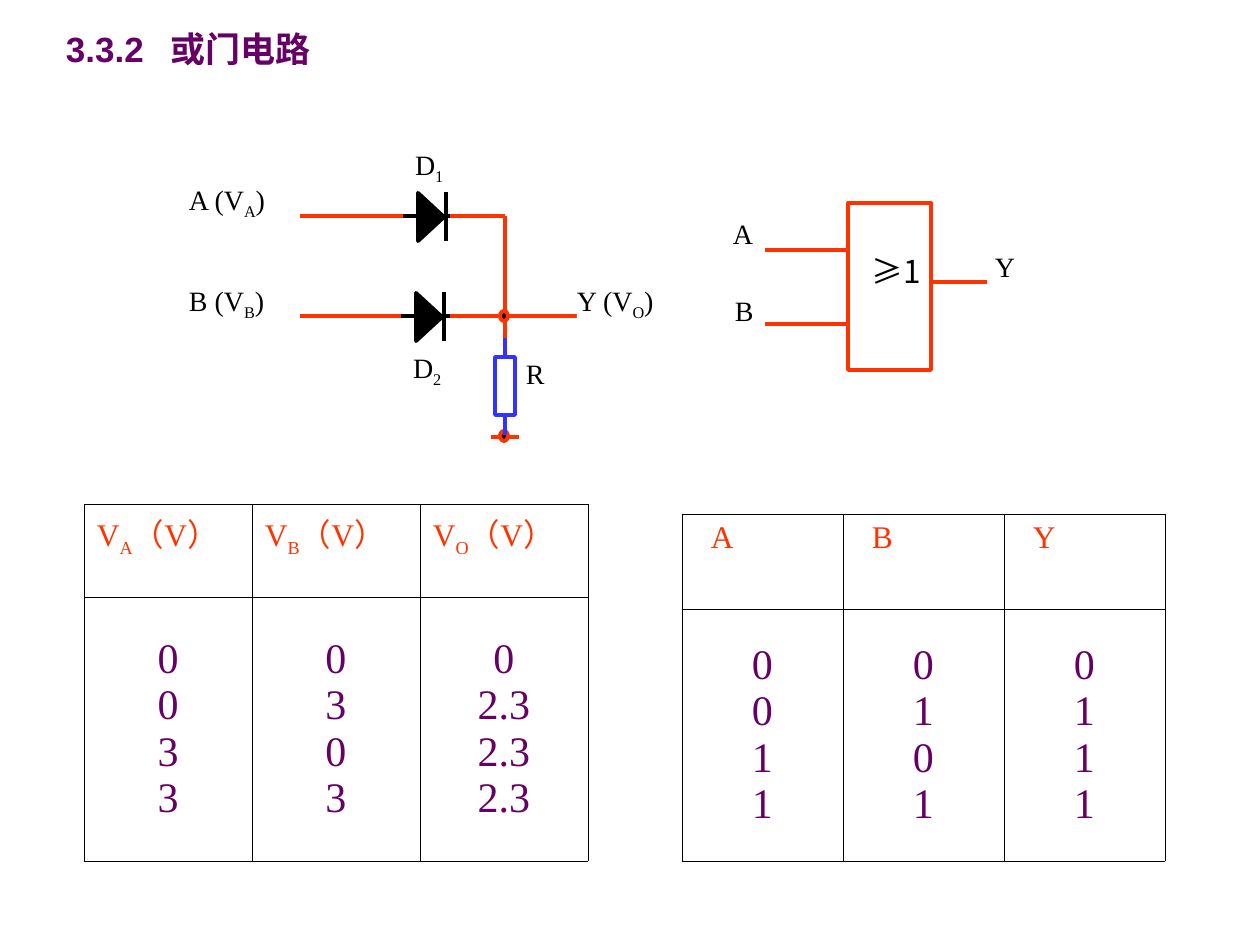
from lxml.etree import SubElement
from pptx import Presentation
from pptx.dml.color import RGBColor as RGB
from pptx.enum.shapes import MSO_CONNECTOR as CONN, MSO_SHAPE as KIND
from pptx.enum.text import MSO_ANCHOR as ANCHOR, MSO_AUTO_SIZE as FIT, PP_ALIGN as ALIGN
from pptx.oxml.ns import qn
from pptx.util import Pt

SCALE = 914400 / 126
COLORS = {"red": "FF3300", "blue": "3333FF", "black": "000000",
          "white": "FFFFFF", "plum": "660066"}
SERIF, SANS, HAN = "Times New Roman", "Arial", "Noto Sans CJK SC"


def px(*vals):
    """Turn pixel lengths into EMU."""
    return [round(v * SCALE) for v in vals]


def hue(name):
    """Look up a named colour."""
    return RGB.from_string(COLORS[name])


def write(para, text, size, color="black", font=SERIF, bold=False):
    """Add runs to a paragraph, with text between underscores set as subscript."""
    for i, part in enumerate(text.split("_")):
        if not part:
            continue
        run = para.add_run()
        run.text = part
        run.font.size, run.font.bold = Pt(size), bold
        run.font.color.rgb = hue(color)
        run.font.name = font
        props = run.font._element
        SubElement(props, qn("a:ea"), typeface=HAN)
        if i % 2:
            props.set("baseline", "-25000")


def pad(item, side, top):
    """Set the text insets of a frame or cell."""
    item.margin_left = item.margin_right = px(side)[0]
    item.margin_top = item.margin_bottom = px(top)[0]


def head(slide, num, name):
    """Fill the title placeholder with a number and a name."""
    shape = slide.shapes.title
    shape.left, shape.top, shape.width, shape.height = px(53, 21, 305, 55)
    frame = shape.text_frame
    frame.word_wrap, frame.auto_size = True, FIT.SHAPE_TO_FIT_TEXT
    frame.vertical_anchor = ANCHOR.TOP
    pad(frame, 13, 6)
    para = frame.paragraphs[0]
    para.alignment = ALIGN.LEFT
    stops = SubElement(para._p.get_or_add_pPr(), qn("a:tabLst"))
    SubElement(stops, qn("a:tab"), pos=str(px(104)[0]), algn="l")
    write(para, f"{num}\t{name}", 20, "plum", SANS, True)


def form(slide, kind, box, fill="white", line=None):
    """Add a filled shape, with an outline if a colour is given."""
    shape = slide.shapes.add_shape(kind, *px(*box))
    shape.shadow.inherit = False
    shape.fill.solid()
    shape.fill.fore_color.rgb = hue(fill)
    if line:
        shape.line.color.rgb, shape.line.width = hue(line), Pt(2.25)
    else:
        shape.line.fill.background()
    return shape


def wire(slide, x1, y1, x2, y2, color="red"):
    """Add a straight wire."""
    line = slide.shapes.add_connector(CONN.STRAIGHT, *px(x1, y1, x2, y2))
    line.line.color.rgb, line.line.width = hue(color), Pt(2.25)
    SubElement(line._element.spPr, qn("a:effectLst"))
    return line


def label(slide, text, box, size=16, font=SERIF):
    """Add a white text label."""
    frame = form(slide, KIND.RECTANGLE, box).text_frame
    frame.word_wrap, frame.vertical_anchor = True, ANCHOR.TOP
    pad(frame, 0, 0)
    para = frame.paragraphs[0]
    para.alignment = ALIGN.JUSTIFY
    write(para, text, size, font=font)


def diode(slide, x, y):
    """Draw a diode whose bar crosses the wire at x, y."""
    body = form(slide, KIND.ISOSCELES_TRIANGLE, (x - 39, y - 12, 48, 26), "black", "black")
    body.rotation = 90
    wire(slide, x - 26, y, x - 43, y, "black")
    wire(slide, x, y, x + 10, y, "black")
    wire(slide, x, y - 24, x, y + 25, "black")


def node(slide, y):
    """Draw a joint on the output rail."""
    form(slide, KIND.OVAL, (500, y, 8, 10), "black", "red")


def load(slide):
    """Draw the resistor and its leads."""
    body = form(slide, KIND.RECTANGLE, (495, 357, 20, 58), line="blue")
    for site, y, end in ((2, 415, 435), (0, 357, 338)):
        wire(slide, 505, y, 505, end, "blue").begin_connect(body, site)


def circuit(slide):
    """Draw the diode circuit."""
    for x, y in ((446, 216), (444, 316)):
        wire(slide, 300, y, 411, y)
        diode(slide, x, y)
        wire(slide, 450, y, 505, y)
    wire(slide, 505, 316, 588, 316)
    wire(slide, 505, 216, 505, 350)
    wire(slide, 491, 437, 519, 437)
    node(slide, 311)
    for text, x, y, w, h in (
            ("Y (V_O_)", 577, 284, 111, 67), ("A (V_A_)", 189, 183, 111, 67),
            ("B (V_B_)", 189, 284, 111, 67), ("D_1_", 415, 148, 55, 41),
            ("D_2_", 413, 351, 55, 67), ("R", 526, 357, 55, 67)):
        label(slide, text, (x, y, w, h))
    node(slide, 431)
    load(slide)


def gate(slide):
    """Draw the logic symbol."""
    form(slide, KIND.RECTANGLE, (848, 203, 83, 167), line="red")
    for y in (250, 324):
        wire(slide, 765, y, 848, y)
    label(slide, "≥1", (872, 252, 61, 47), 18, HAN)
    wire(slide, 931, 209, 931, 343)
    wire(slide, 931, 282, 987, 282)
    for text, x, y in (("A", 733, 217), ("B", 735, 294), ("Y", 995, 249)):
        label(slide, text, (x, y, 28, 67))


def rule(cell):
    """Give a cell thin black borders and no fill."""
    props = cell._tc.get_or_add_tcPr()
    for side in ("lnL", "lnR", "lnT", "lnB"):
        line = SubElement(props, qn("a:" + side), w="5715")
        fill = SubElement(line, qn("a:solidFill"))
        SubElement(fill, qn("a:srgbClr"), val=COLORS["black"])
    cell.fill.background()


def grid(slide, x, y, wide, rows, heads, data, indent=0):
    """Add a table with a header row and one tall row of stacked values."""
    size = px(x, y, wide * len(heads), sum(rows))
    table = slide.shapes.add_table(2, len(heads), *size).table
    table.first_row = table.horz_banding = False
    for row, tall in zip(table.rows, rows):
        row.height = px(tall)[0]
    for i, (name, vals) in enumerate(zip(heads, data)):
        table.columns[i].width = px(wide)[0]
        top, body = table.cell(0, i), table.cell(1, i)
        for cell in (top, body):
            rule(cell)
            pad(cell, 13, 6)
        top.margin_left = px(13 + indent)[0]
        write(top.text_frame.paragraphs[0], name, 18, "red")
        body.vertical_anchor = ANCHOR.MIDDLE
        frame = body.text_frame
        for j, val in enumerate(vals.split()):
            para = frame.add_paragraph() if j else frame.paragraphs[0]
            para.alignment = ALIGN.CENTER
            write(para, val, 24, "plum")


def main():
    """Build and save the slide."""
    deck = Presentation()
    deck.slide_width, deck.slide_height = px(1260, 945)
    slide = deck.slides.add_slide(deck.slide_layouts[5])
    head(slide, "3.3.2", "或门电路")
    circuit(slide)
    gate(slide)
    grid(slide, 84, 504, 168, (93, 264), [f"V_{k}_（V）" for k in "ABO"],
         ("0 0 3 3", "0 3 0 3", "0 2.3 2.3 2.3"))
    grid(slide, 682, 514, 161, (95, 252), "ABY",
         ("0 0 1 1", "0 1 0 1", "0 1 1 1"), 16)
    deck.save("out.pptx")


if __name__ == "__main__":
    main()
